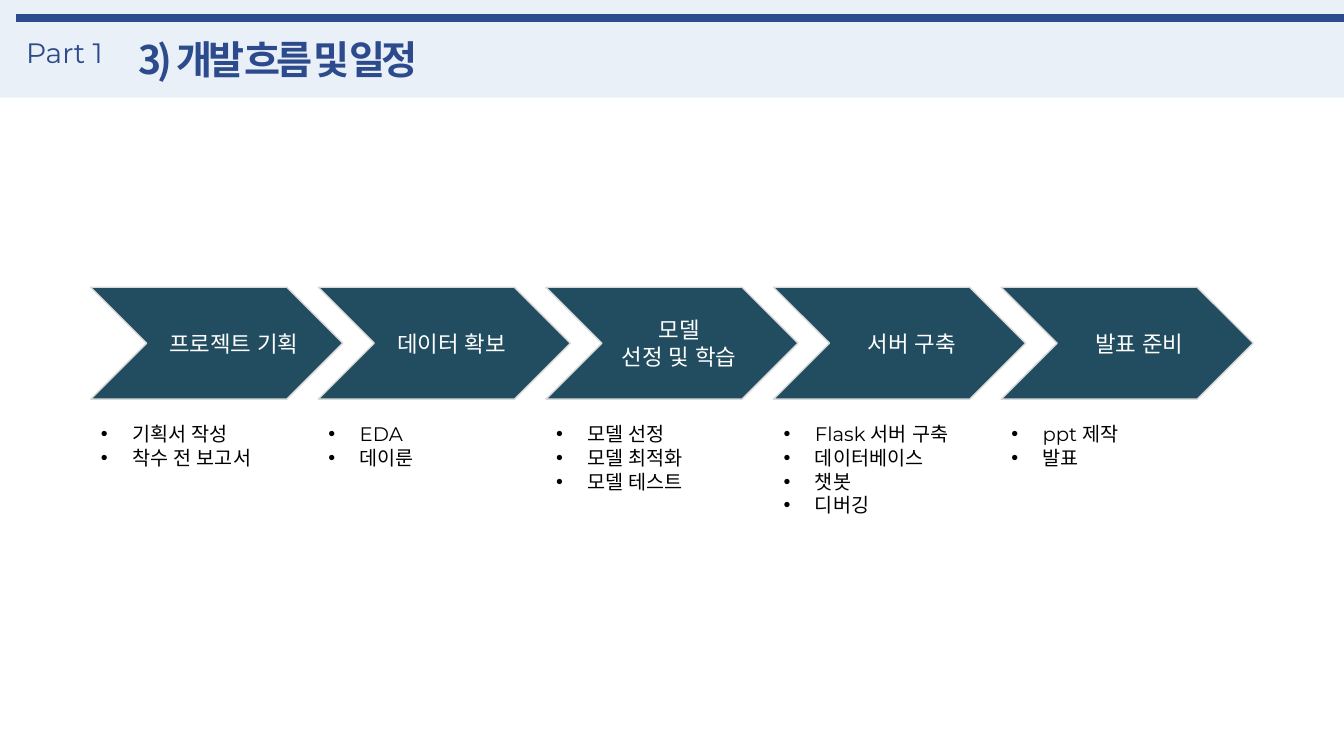
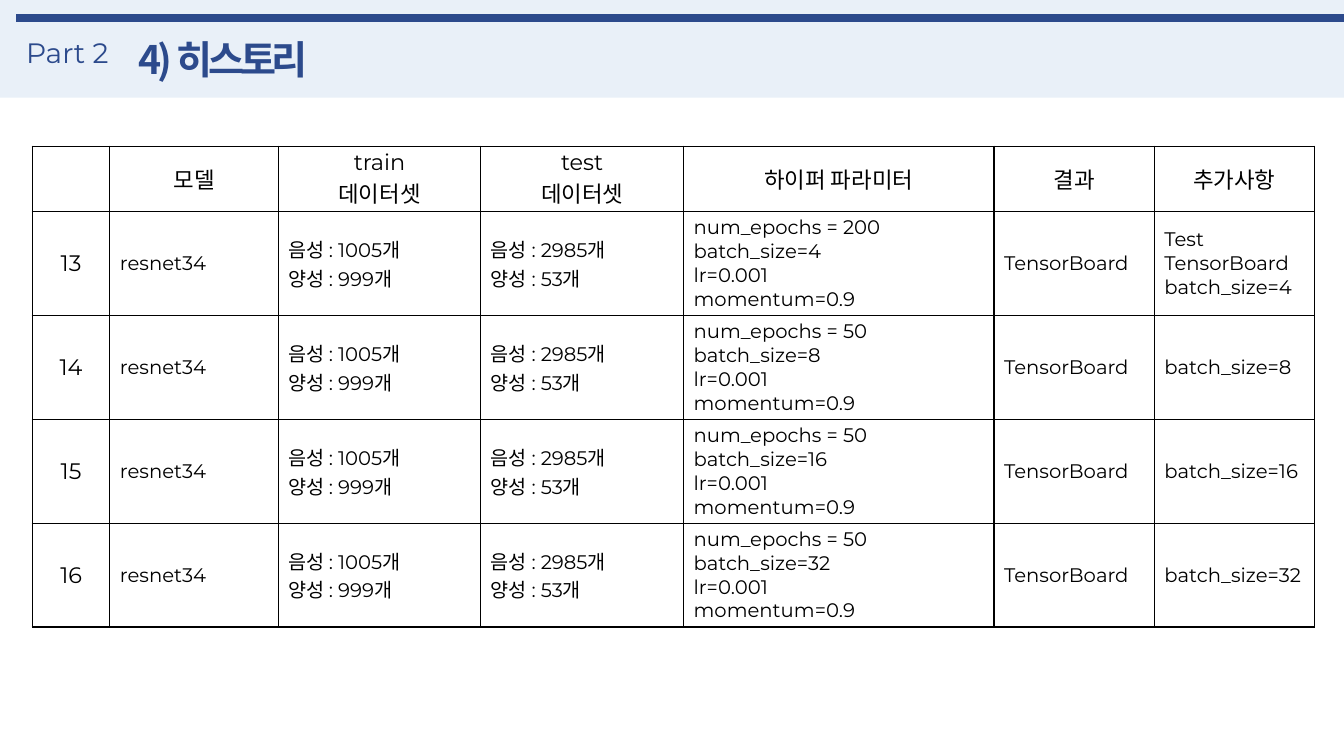
from dataclasses import dataclass
from itertools import accumulate

from lxml import etree
from pptx import Presentation
from pptx.dml.color import RGBColor
from pptx.enum.shapes import MSO_CONNECTOR as Connector, MSO_SHAPE as Preset
from pptx.enum.text import MSO_ANCHOR as Anchor, MSO_AUTO_SIZE as AutoSize, PP_ALIGN as Align
from pptx.oxml.ns import qn
from pptx.util import Inches, Pt


@dataclass(frozen=True)
class Theme:
    navy: str = "2C4A8C"
    band: str = "E0EBF6"
    teal: str = "224D60"
    outline: str = "D9D9D9"
    ink: str = "000000"
    white: str = "FFFFFF"
    latin: str = "Montserrat"
    hangul: str = "Noto Sans CJK KR"
    title_size: int = 28
    part_size: int = 20
    label_size: int = 16
    body_size: int = 14


THEME = Theme()
SLIDE_WIDTH, SLIDE_HEIGHT = 13.33, 7.5

# Step name, label offset from the left of its chevron, tasks
STEPS = [
    (["프로젝트 기획"], 0.58, ["기획서 작성", "착수 전 보고서"]),
    (["데이터 확보"], 0.48, ["EDA", "데이룬"]),
    (["모델", "선정 및 학습"], 0.48, ["모델 선정", "모델 최적화", "모델 테스트"]),
    (["서버 구축"], 0.53, ["Flask 서버 구축", "데이터베이스", "챗봇", "디버깅"]),
    (["발표 준비"], 0.53, ["ppt 제작", "발표"]),
]

HEADINGS = [[], ["모델"], ["train", "데이터셋"], ["test", "데이터셋"],
            ["하이퍼 파라미터"], ["결과"], ["추가사항"]]
COLUMN_WIDTHS = [0.77, 1.67, 2.01, 2.01, 3.08, 1.59, 1.59]
HEADING_HEIGHT, RUN_HEIGHT = 0.64, 1.03

# Run number, epochs, batch size, lines before the batch size in the last column
TRAINING_RUNS = [
    (13, 200, 4, ["Test", "TensorBoard"]),
    (14, 50, 8, []),
    (15, 50, 16, []),
    (16, 50, 32, []),
]


def color(value):
    return RGBColor.from_string(value)


def place(shape, left, top, width, height):
    shape.left, shape.top = Inches(left), Inches(top)
    shape.width, shape.height = Inches(width), Inches(height)


def add_bullet(paragraph):
    properties = paragraph._p.get_or_add_pPr()
    properties.set("marL", str(Inches(0.31)))
    properties.set("indent", str(-Inches(0.31)))
    font = etree.SubElement(properties, qn("a:buFont"))
    font.set("typeface", "Arial")
    etree.SubElement(properties, qn("a:buChar")).set("char", "•")


def write(frame, lines, size, ink=THEME.ink, align=Align.LEFT, latin=THEME.latin,
          east_asian=THEME.latin, bold=False, spacing=0, bullet=False):
    """Fill a text frame with one single-run paragraph for each line."""
    for index, line in enumerate(lines):
        paragraph = frame.paragraphs[0] if index == 0 else frame.add_paragraph()
        paragraph.alignment = align
        paragraph.space_before = Pt(0)
        if bullet:
            add_bullet(paragraph)
        run = paragraph.add_run()
        run.text = line
        run.font.name = latin
        run.font.size = Pt(size)
        run.font.bold = bold
        run.font.color.rgb = color(ink)
        properties = run._r.get_or_add_rPr()
        etree.SubElement(properties, qn("a:ea")).set("typeface", east_asian)
        if spacing:
            properties.set("spc", str(spacing * 100))


def add_text(slide, box, lines, size, anchor=Anchor.TOP, wrap=True, **style):
    shape = slide.shapes.add_textbox(*map(Inches, box))
    frame = shape.text_frame
    frame.word_wrap = wrap
    frame.vertical_anchor = anchor
    write(frame, lines, size, **style)


def add_header(slide, part, title):
    """Draw the band and rule, then the part name and the slide title on them."""
    band = slide.shapes.add_shape(Preset.RECTANGLE, 0, 0, Inches(SLIDE_WIDTH), Inches(0.97))
    band.shadow.inherit = False
    band.line.fill.background()
    band.fill.solid()
    band.fill.fore_color.rgb = color(THEME.band)
    tint = band.element.spPr.find(".//" + qn("a:srgbClr"))
    etree.SubElement(tint, qn("a:alpha")).set("val", "70000")

    rule = slide.shapes.add_connector(Connector.STRAIGHT, Inches(0.16), Inches(0.18),
                                      Inches(SLIDE_WIDTH), Inches(0.18))
    rule.line.color.rgb = color(THEME.navy)
    rule.line.width = Pt(6)
    etree.SubElement(rule.element.spPr, qn("a:effectLst"))

    add_text(slide, (0.16, 0.3, 1.03, 0.44), [part], THEME.part_size,
             wrap=False, ink=THEME.navy)

    heading = slide.shapes.title
    place(heading, 1.27, 0.3, 5.79, 0.57)
    heading.text_frame.vertical_anchor = Anchor.MIDDLE
    heading.text_frame.auto_size = AutoSize.NONE
    write(heading.text_frame, [title], THEME.title_size, ink=THEME.navy,
          latin=THEME.hangul, east_asian=THEME.hangul, bold=True, spacing=-3)
    heading.element.getparent().append(heading.element)


def add_chevron(slide, box):
    chevron = slide.shapes.add_shape(Preset.CHEVRON, *map(Inches, box))
    chevron.shadow.inherit = False
    chevron.fill.solid()
    chevron.fill.fore_color.rgb = color(THEME.teal)
    chevron.line.color.rgb = color(THEME.outline)
    chevron.line.width = Pt(1)


def add_task_list(slide, layout_body, box, tasks):
    slide.shapes.clone_placeholder(layout_body)
    body = slide.shapes[-1]
    place(body, *box)
    body.text_frame.auto_size = AutoSize.NONE
    write(body.text_frame, tasks, THEME.body_size, bullet=True)


def add_process(slide, layout_body, box):
    """Spread the steps over the box, each with its tasks below."""
    left, top, width, height = box
    chevron_width = 2.5
    pitch = (width - chevron_width) / (len(STEPS) - 1)
    for index, (label, offset, tasks) in enumerate(STEPS):
        step_left = left + index * pitch
        add_chevron(slide, (step_left, top, chevron_width, height))
        add_text(slide, (step_left + offset, top, 1.68, height), label, THEME.label_size,
                 anchor=Anchor.MIDDLE, ink=THEME.white, align=Align.CENTER)
        add_task_list(slide, layout_body, (step_left, top + height + 0.18, 2.16, 1.04), tasks)


def add_borders(cell):
    properties = cell._tc.get_or_add_tcPr()
    for position, side in enumerate(("lnL", "lnR", "lnT", "lnB")):
        border = etree.Element(qn("a:" + side), w=str(Pt(1)))
        fill = etree.SubElement(border, qn("a:solidFill"))
        etree.SubElement(fill, qn("a:srgbClr")).set("val", THEME.ink)
        properties.insert(position, border)


def count_lines(negative, positive):
    return [f"음성 : {negative}개", f"양성 : {positive}개"]


def run_cells(number, epochs, batch, remarks):
    batch_line = f"batch_size={batch}"
    settings = [f"num_epochs = {epochs}", batch_line, "lr=0.001", "momentum=0.9"]
    return [[str(number)], ["resnet34"], count_lines(1005, 999), count_lines(2985, 53),
            settings, ["TensorBoard"], remarks + [batch_line]]


def add_history(slide, left, top):
    rows = [HEADINGS] + [run_cells(*training_run) for training_run in TRAINING_RUNS]
    heights = [HEADING_HEIGHT] + [RUN_HEIGHT] * len(TRAINING_RUNS)
    frame = slide.shapes.add_table(len(rows), len(HEADINGS), Inches(left), Inches(top),
                                   Inches(sum(COLUMN_WIDTHS)), Inches(sum(heights)))
    table = frame.table
    table.first_row = table.horz_banding = False
    for column, width in zip(table.columns, COLUMN_WIDTHS):
        column.width = Inches(width)
    for row_index, (lines_by_cell, height) in enumerate(zip(rows, heights)):
        table.rows[row_index].height = Inches(height)
        for column_index, lines in enumerate(lines_by_cell):
            cell = table.cell(row_index, column_index)
            cell.fill.background()
            cell.vertical_anchor = Anchor.MIDDLE
            cell.margin_top = cell.margin_bottom = Inches(0.03)
            add_borders(cell)
            is_heading = row_index == 0 or column_index == 0
            write(cell.text_frame, lines,
                  THEME.label_size if is_heading else THEME.body_size,
                  align=Align.CENTER if is_heading else Align.LEFT,
                  east_asian=THEME.hangul)


def build_process_slide(presentation):
    layout = presentation.slide_layouts.get_by_name("Title and Content")
    slide = presentation.slides.add_slide(layout)
    spare_body = slide.placeholders[1].element
    spare_body.getparent().remove(spare_body)
    add_header(slide, "Part 1", "3) 개발 흐름 및 일정")
    add_process(slide, layout.placeholders[1], (0.9, 2.85, 11.53, 1.11))


def build_history_slide(presentation):
    layout = presentation.slide_layouts.get_by_name("Title Only")
    slide = presentation.slides.add_slide(layout)
    add_header(slide, "Part 2", "4) 히스토리")
    add_history(slide, 0.32, 1.45)


def main():
    presentation = Presentation()
    presentation.slide_width = Inches(SLIDE_WIDTH)
    presentation.slide_height = Inches(SLIDE_HEIGHT)
    build_process_slide(presentation)
    build_history_slide(presentation)
    presentation.save("out.pptx")


if __name__ == "__main__":
    main()
